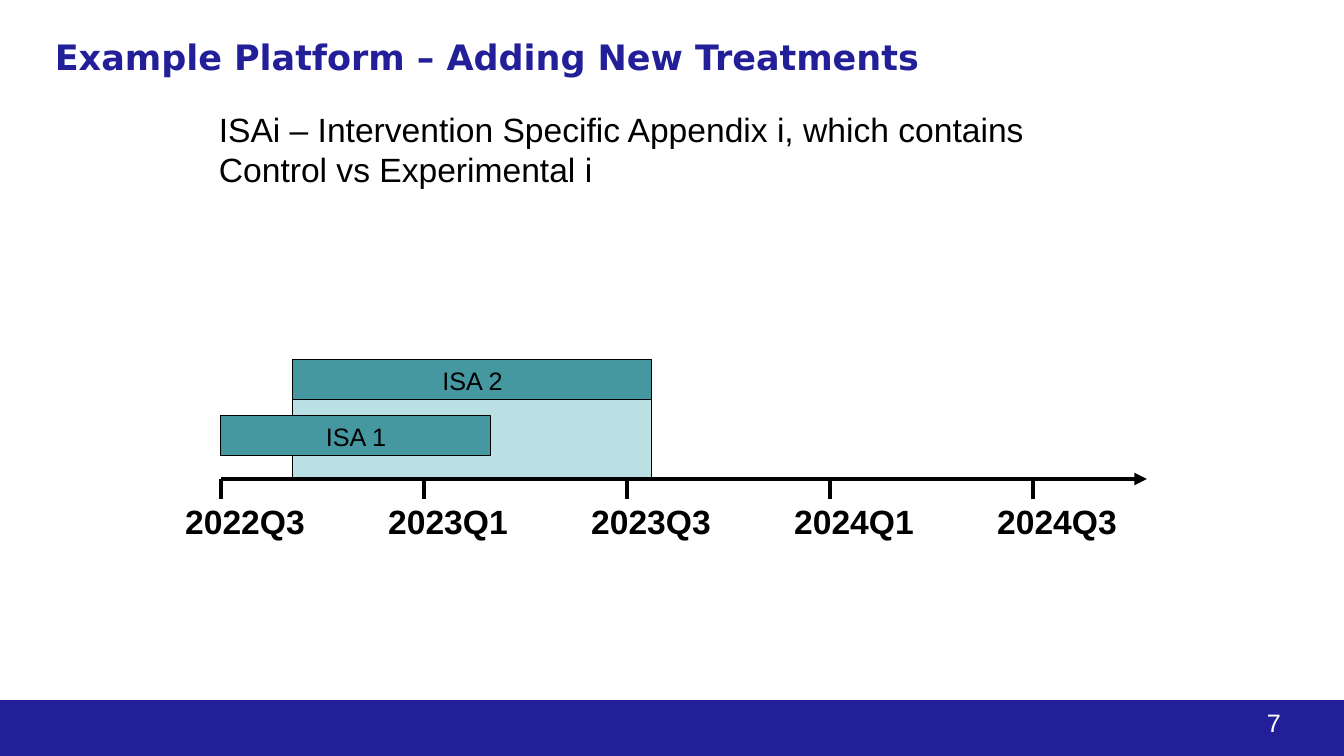
from dataclasses import dataclass

from lxml.etree import SubElement
from pptx import Presentation
from pptx.dml.color import RGBColor
from pptx.enum.shapes import MSO_CONNECTOR, MSO_SHAPE
from pptx.enum.text import MSO_ANCHOR, PP_ALIGN
from pptx.oxml.ns import qn
from pptx.util import Emu, Pt

SLIDE_W, SLIDE_H = 1344, 756
EMU_PER_PX = 914400 / 100.8


@dataclass(frozen=True)
class Theme:
    navy: str = "231F99"
    teal: str = "4597A0"
    pale: str = "BBE0E3"
    black: str = "000000"
    white: str = "FFFFFF"
    title_font: str = "DejaVu Sans"
    body_font: str = "Arial"
    title_size: int = 25
    body_size: int = 24
    small_size: int = 18
    axis_width: float = 3
    outline_width: float = 0.75


THEME = Theme()

# Timeline geometry
AXIS_LEFT, AXIS_RIGHT, AXIS_Y = 221, 1147, 479
TICK_STEP, TICK_LENGTH = 203, 20
LABEL_SHIFT, LABEL_W = 24, 160
QUARTERS = ["2022Q3", "2023Q1", "2023Q3", "2024Q1", "2024Q3"]
BAR_H = 40


def px(value):
    return Emu(round(value * EMU_PER_PX))


def rgb(value):
    return RGBColor.from_string(value)


def write(frame, text, size, color=THEME.black, font=THEME.body_font,
          bold=False, align=PP_ALIGN.LEFT):
    para = frame.paragraphs[0]
    para.alignment = align
    span = para.add_run()
    span.text = text
    span.font.name = font
    span.font.size = Pt(size)
    span.font.bold = bold
    span.font.color.rgb = rgb(color)


def add_text(page, left, top, width, height, text, size,
             anchor=MSO_ANCHOR.TOP, **style):
    box = page.shapes.add_textbox(px(left), px(top), px(width), px(height))
    box.text_frame.word_wrap = True
    box.text_frame.vertical_anchor = anchor
    write(box.text_frame, text, size, **style)


def add_block(page, left, top, width, height, fill, outlined=True, label=None):
    block = page.shapes.add_shape(
        MSO_SHAPE.RECTANGLE, px(left), px(top), px(width), px(height))
    block.shadow.inherit = False
    block.fill.solid()
    block.fill.fore_color.rgb = rgb(fill)
    if outlined:
        block.line.color.rgb = rgb(THEME.black)
        block.line.width = Pt(THEME.outline_width)
    else:
        block.line.fill.background()
    if label:
        block.text_frame.vertical_anchor = MSO_ANCHOR.TOP
        write(block.text_frame, label, THEME.small_size, align=PP_ALIGN.CENTER)


def add_line(page, x1, y1, x2, y2, arrow=False):
    line = page.shapes.add_connector(
        MSO_CONNECTOR.STRAIGHT, px(x1), px(y1), px(x2), px(y2))
    line.line.color.rgb = rgb(THEME.black)
    line.line.width = Pt(THEME.axis_width)
    if arrow:
        SubElement(line.line._get_or_add_ln(), qn("a:tailEnd"), type="triangle")
    SubElement(line._element.spPr, qn("a:effectLst"))


def add_timeline(page):
    add_line(page, AXIS_LEFT, AXIS_Y, AXIS_RIGHT, AXIS_Y, arrow=True)
    for index, quarter in enumerate(QUARTERS):
        x = AXIS_LEFT + index * TICK_STEP
        add_line(page, x, AXIS_Y + TICK_LENGTH, x, AXIS_Y)
        add_text(page, x + LABEL_SHIFT - LABEL_W // 2, 496, LABEL_W, 50,
                 quarter, THEME.body_size, bold=True, align=PP_ALIGN.CENTER)


def main():
    deck = Presentation()
    deck.slide_width, deck.slide_height = px(SLIDE_W), px(SLIDE_H)
    page = deck.slides.add_slide(deck.slide_layouts[6])

    # Heading and explanation
    add_text(page, 45, 10, 1290, 93, "Example Platform – Adding New Treatments",
             THEME.title_size, anchor=MSO_ANCHOR.MIDDLE, color=THEME.navy,
             font=THEME.title_font, bold=True)
    add_text(page, 209, 104, 921, 92,
             "ISAi – Intervention Specific Appendix i, which contains "
             "Control vs Experimental i", THEME.body_size)

    # Treatment periods above the time axis
    add_block(page, 293, 400, 359, 80, THEME.pale)
    add_block(page, 293, 360, 359, BAR_H, THEME.teal, label="ISA 2")
    add_block(page, AXIS_LEFT, 416, 270, BAR_H, THEME.teal, label="ISA 1")
    add_timeline(page)

    # Footer band with page number
    add_block(page, 0, 700, SLIDE_W, 56, THEME.navy, outlined=False)
    add_text(page, 1257, 702, 66, 40, "7", THEME.small_size, color=THEME.white)

    deck.save("out.pptx")


if __name__ == "__main__":
    main()
